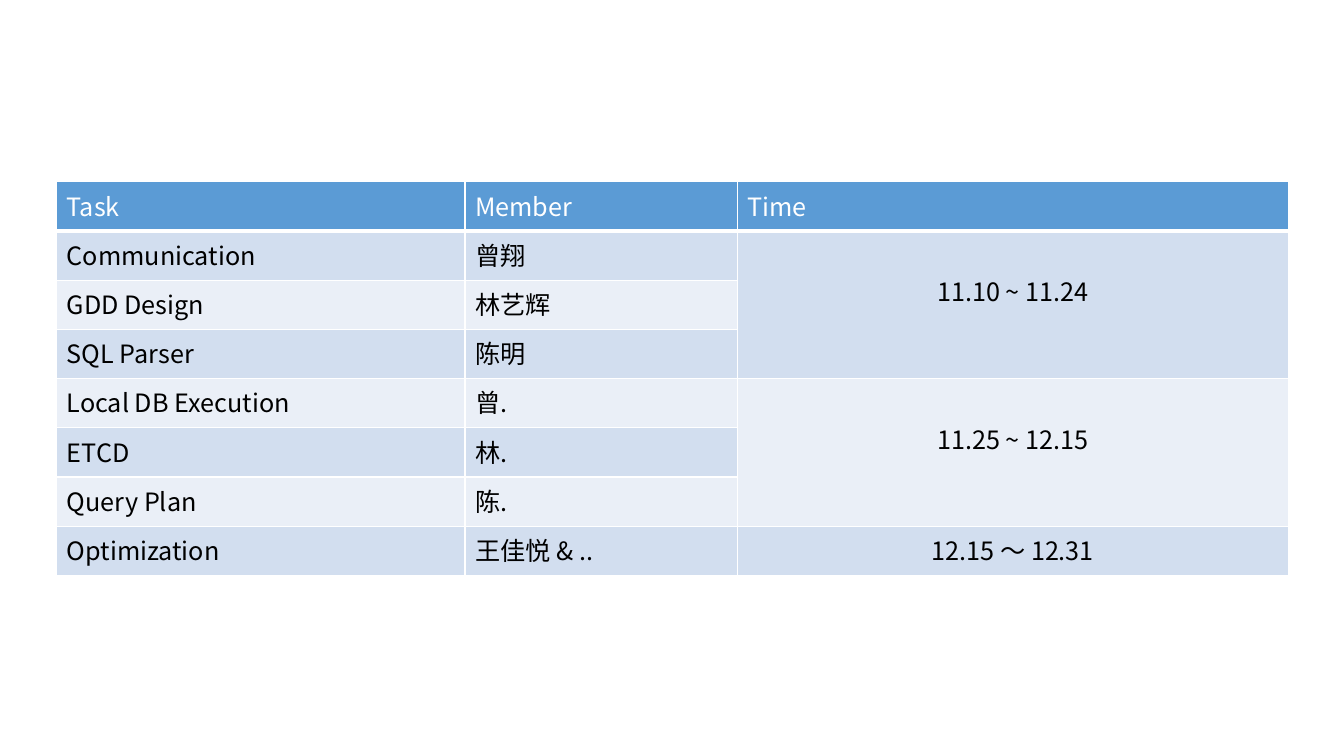
from lxml import etree
from pptx import Presentation
from pptx.dml.color import RGBColor
from pptx.enum.text import MSO_ANCHOR, PP_ALIGN
from pptx.oxml.ns import qn
from pptx.util import Cm, Pt

LEFT, CENTER, TOP = PP_ALIGN.LEFT, PP_ALIGN.CENTER, MSO_ANCHOR.TOP
WHITE = RGBColor(0xFF, 0xFF, 0xFF)
BLACK = RGBColor(0x00, 0x00, 0x00)
BLUE = RGBColor(0x5B, 0x9B, 0xD5)
BANDS = RGBColor(0xEA, 0xEF, 0xF7), RGBColor(0xD2, 0xDE, 0xEF)
FACE = "Noto Sans CJK SC"

PLAN = [
    ("Task", "Member", "Time"),
    ("Communication", "曾翔", "11.10 ~ 11.24"),
    ("GDD Design", "林艺辉", ""),
    ("SQL Parser", "陈明", ""),
    ("Local DB Execution", "曾.", "11.25 ~ 12.15"),
    ("ETCD", "林.", ""),
    ("Query Plan", "陈.", ""),
    ("Optimization", "王佳悦 & ..", "12.15 ～ 12.31"),
]
WIDTHS = 10.29, 6.86, 13.89
SPANS = (1, 3), (4, 6)


class Deck:
    """Hold the text style and the current slide."""

    def __init__(self, pres):
        """Add a blank slide and set the text style."""
        self.slide = pres.slides.add_slide(pres.slide_layouts[6])
        self.style = {"name": FACE, "size": Pt(18), "bold": False}

    def edge(self, cell, base):
        """Draw white borders with the given bottom width."""
        props = cell._tc.get_or_add_tcPr()
        for side, width in zip("LRTB", (1, 1, 1, base)):
            line = etree.SubElement(props, qn("a:ln" + side), w=str(Pt(width)))
            fill = etree.SubElement(line, qn("a:solidFill"))
            etree.SubElement(fill, qn("a:srgbClr"), val=str(WHITE))

    def label(self, cell, text, color, align):
        """Put styled text into a cell."""
        para = cell.text_frame.paragraphs[0]
        para.alignment = align
        run = para.add_run()
        run.text = text
        for key, value in self.style.items():
            setattr(run.font, key, value)
        run.font.color.rgb = color
        etree.SubElement(run.font._element, qn("a:ea"), typeface=FACE)

    def table(self, rows, widths, spans, left, top, high):
        """Add a banded table whose last column merges over the spans."""
        frame = self.slide.shapes.add_table(
            len(rows), len(widths), Cm(left), Cm(top),
            Cm(sum(widths)), Cm(high * len(rows)))
        grid = frame.table
        for col, width in zip(grid.columns, widths):
            col.width = Cm(width)
        last = len(widths) - 1
        for i, row in enumerate(rows):
            grid.rows[i].height = Cm(high)
            for j, text in enumerate(row):
                cell = grid.cell(i, j)
                cell.vertical_anchor = TOP
                self.edge(cell, 1 if i else 3)
                cell.fill.solid()
                cell.fill.fore_color.rgb = BANDS[i % 2] if i else BLUE
                if text:
                    align = CENTER if i and j == last else LEFT
                    self.label(cell, text, BLACK if i else WHITE, align)
        for first, end in spans:
            cell = grid.cell(first, last)
            cell.merge(grid.cell(end, last))
            cell.margin_top = Cm(1.05)


def main():
    """Build the schedule slide."""
    pres = Presentation()
    pres.slide_width, pres.slide_height = Cm(33.87), Cm(19.05)
    Deck(pres).table(PLAN, WIDTHS, SPANS, 1.43, 4.58, 1.24)
    pres.save("out.pptx")


if __name__ == "__main__":
    main()
